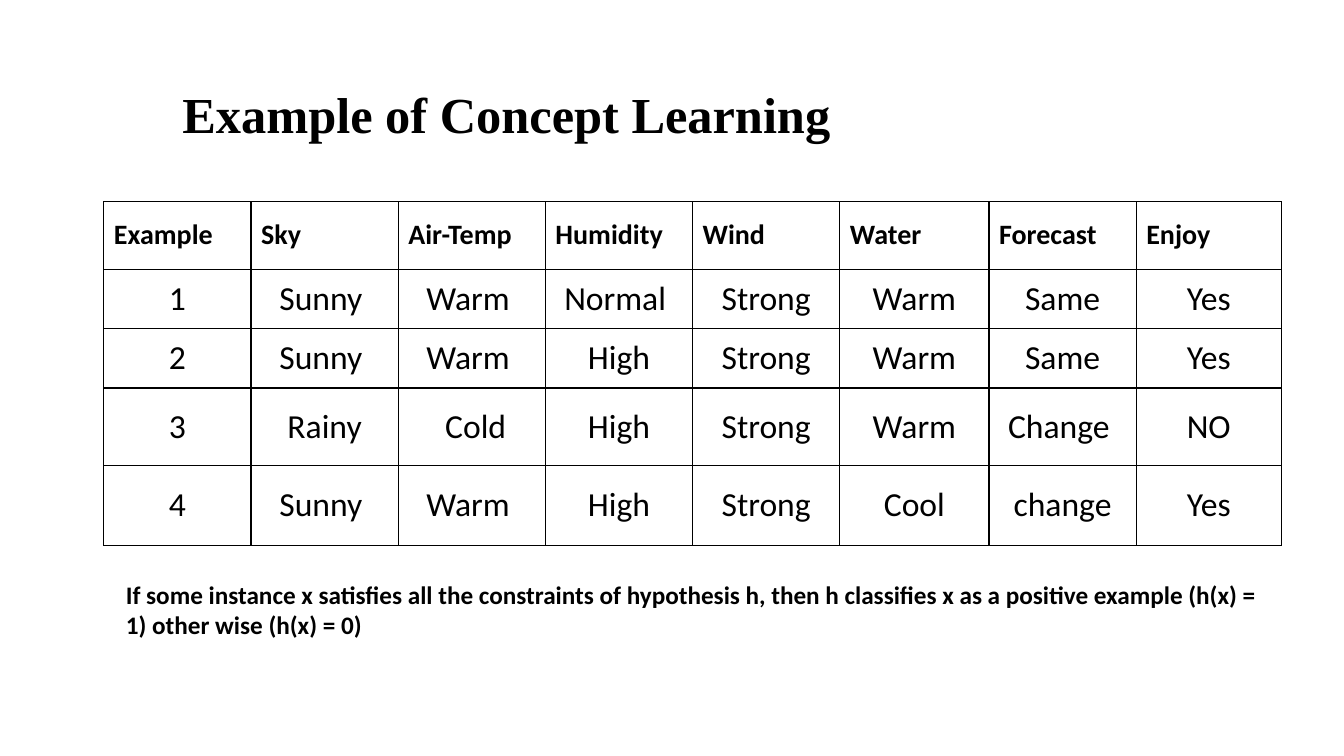
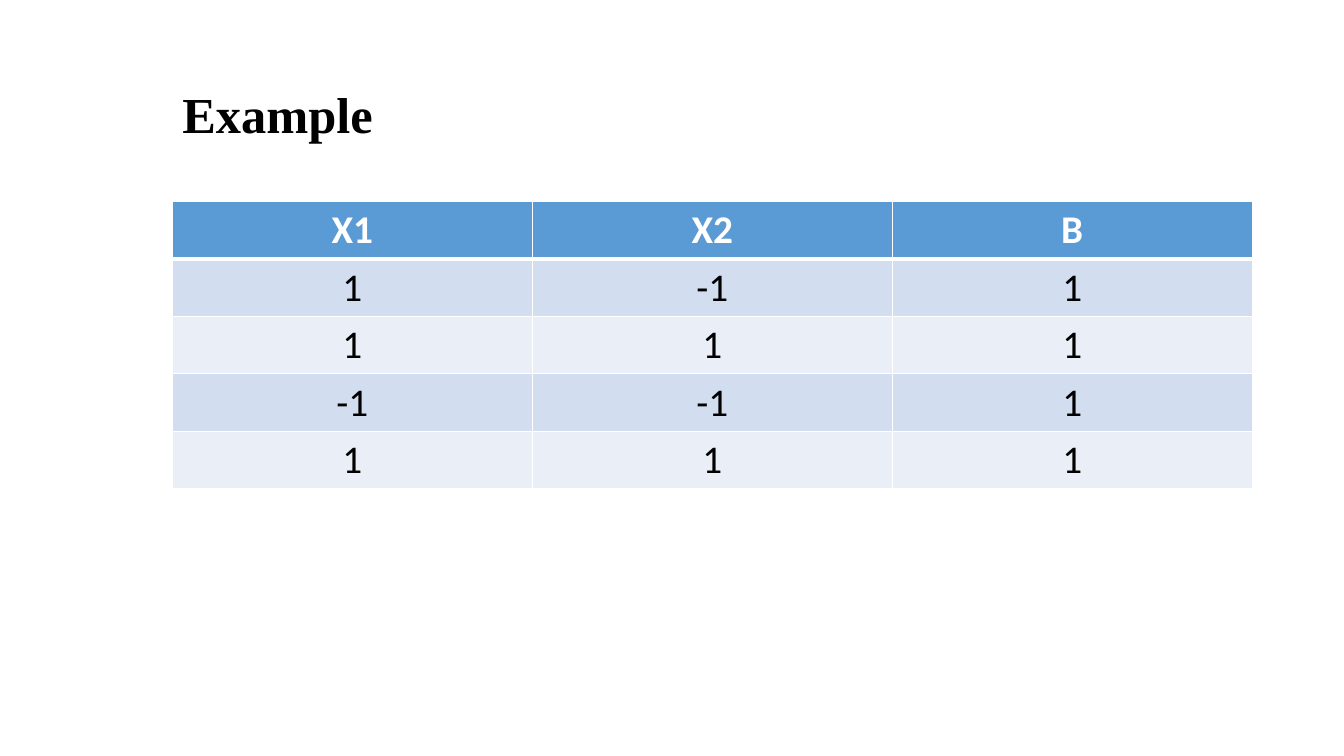
from lxml import etree
from pptx import Presentation
from pptx import util as u
from pptx.dml.color import RGBColor
from pptx.enum import text
from pptx.oxml import ns

COLORS = {"ink": "000000", "paper": "FFFFFF", "header": "5B9BD5",
          "band": "D2DEEF", "pale": "EAEFF7"}
BODY_FONT, TITLE_FONT = "Calibri", "Times New Roman"
LEFT, CENTER = text.PP_ALIGN.LEFT, text.PP_ALIGN.CENTER
TOP, MIDDLE = text.MSO_ANCHOR.TOP, text.MSO_ANCHOR.MIDDLE
TITLE_STYLE = {"name": TITLE_FONT, "size": 36, "bold": True, "color": "ink"}
NOTE_STYLE = {"name": BODY_FONT, "size": 18, "bold": True, "color": "ink"}

# Content
SLIDES = [
    {
        "title": "Example of Concept Learning",
        "rows": [
            ["Example", "Sky", "Air-Temp", "Humidity", "Wind", "Water", "Forecast", "Enjoy"],
            ["1", "Sunny ", "Warm ", "Normal ", "Strong", "Warm", "Same", "Yes"],
            ["2", "Sunny ", "Warm ", "High", "Strong", "Warm", "Same", "Yes"],
            ["3", "Rainy", " Cold", "High", "Strong", "Warm", "Change ", "NO"],
            ["4", "Sunny ", "Warm ", "High", "Strong", "Cool", "change", "Yes"],
        ],
        "left": 1.03,
        "widths": [1.46] * 5 + [1.48, 1.46, 1.44],
        "heights": [0.67, 0.59, 0.59, 0.77, 0.79],
        "anchor": MIDDLE, "border": "ink", "header_rule": 1,
        "header_fill": None, "fills": [None],
        "header_align": LEFT,
        "header": {"name": BODY_FONT, "size": 20, "bold": True, "color": "ink"},
        "body": {"name": BODY_FONT, "size": 24, "bold": False, "color": "ink"},
        "note": "If some instance x satisfies all the constraints of hypothesis h, "
                "then h classifies x as a positive example (h(x) = 1) "
                "other wise (h(x) = 0)",
    },
    {
        "title": "Example",
        "rows": [["X1", "X2", "B"], ["1", "-1", "1"], ["1", "1", "1"],
                 ["-1", "-1", "1"], ["1", "1", "1"]],
        "left": 1.71,
        "widths": [3.57] * 3,
        "heights": [0.57] * 5,
        "anchor": TOP, "border": "paper", "header_rule": 3,
        "header_fill": "header", "fills": ["band", "pale"],
        "header_align": CENTER,
        "header": {"name": BODY_FONT, "size": 28, "bold": True, "color": "paper"},
        "body": {"name": BODY_FONT, "size": 28, "bold": False, "color": "ink"},
        "note": None,
    },
]


def write(frame, words, style, align=LEFT):
    para = frame.paragraphs[0]
    para.alignment = align
    span = para.add_run()
    span.text = words
    values = {"name": style["name"], "size": u.Pt(style["size"]), "bold": style["bold"]}
    for name, value in values.items():
        setattr(span.font, name, value)
    span.font.color.rgb = RGBColor.from_string(COLORS[style["color"]])


def add_text(page, area, words, style, anchor=TOP):
    box = page.shapes.add_textbox(*map(u.Inches, area))
    box.text_frame.word_wrap = True
    box.text_frame.vertical_anchor = anchor
    write(box.text_frame, words, style)


def set_borders(cell, color, widths):
    """Draw the left, right, top and bottom edges, in that order."""
    props = cell._tc.get_or_add_tcPr()
    for place, (side, width) in enumerate(zip("LRTB", widths)):
        line = etree.Element(ns.qn(f"a:ln{side}"), w=str(u.Pt(width)))
        fill = etree.SubElement(line, ns.qn("a:solidFill"))
        etree.SubElement(fill, ns.qn("a:srgbClr"), val=COLORS[color])
        props.insert(place, line)


def add_grid(page, data):
    rows, widths, heights = data["rows"], data["widths"], data["heights"]
    area = (data["left"], 2, sum(widths), sum(heights))
    table = page.shapes.add_table(len(rows), len(widths), *map(u.Inches, area)).table
    table.first_row = table.horz_banding = False
    for column, width in zip(table.columns, widths):
        column.width = u.Inches(width)
    for row, height in zip(table.rows, heights):
        row.height = u.Inches(height)

    for r, values in enumerate(rows):
        part = "body" if r else "header"
        align = CENTER if r else data["header_align"]
        fills = data["fills"]
        fill = fills[(r - 1) % len(fills)] if r else data["header_fill"]
        rule = data["header_rule"]
        edges = (1, 1, rule if r == 1 else 1, rule if r == 0 else 1)
        for c, value in enumerate(values):
            cell = table.cell(r, c)
            cell.vertical_anchor = data["anchor"]
            write(cell.text_frame, value, data[part], align)
            if fill:
                cell.fill.solid()
                cell.fill.fore_color.rgb = RGBColor.from_string(COLORS[fill])
            else:
                cell.fill.background()
            set_borders(cell, data["border"], edges)


def main():
    deck = Presentation()
    deck.slide_width, deck.slide_height = u.Inches(13.33), u.Inches(7.5)
    for data in SLIDES:
        page = deck.slides.add_slide(deck.slide_layouts[6])
        add_text(page, (1.71, 0.4, 10.71, 1.45), data["title"], TITLE_STYLE, MIDDLE)
        add_grid(page, data)
        if data["note"]:
            add_text(page, (1.15, 5.7, 11.44, 1.01), data["note"], NOTE_STYLE)
    deck.save("out.pptx")


if __name__ == "__main__":
    main()
